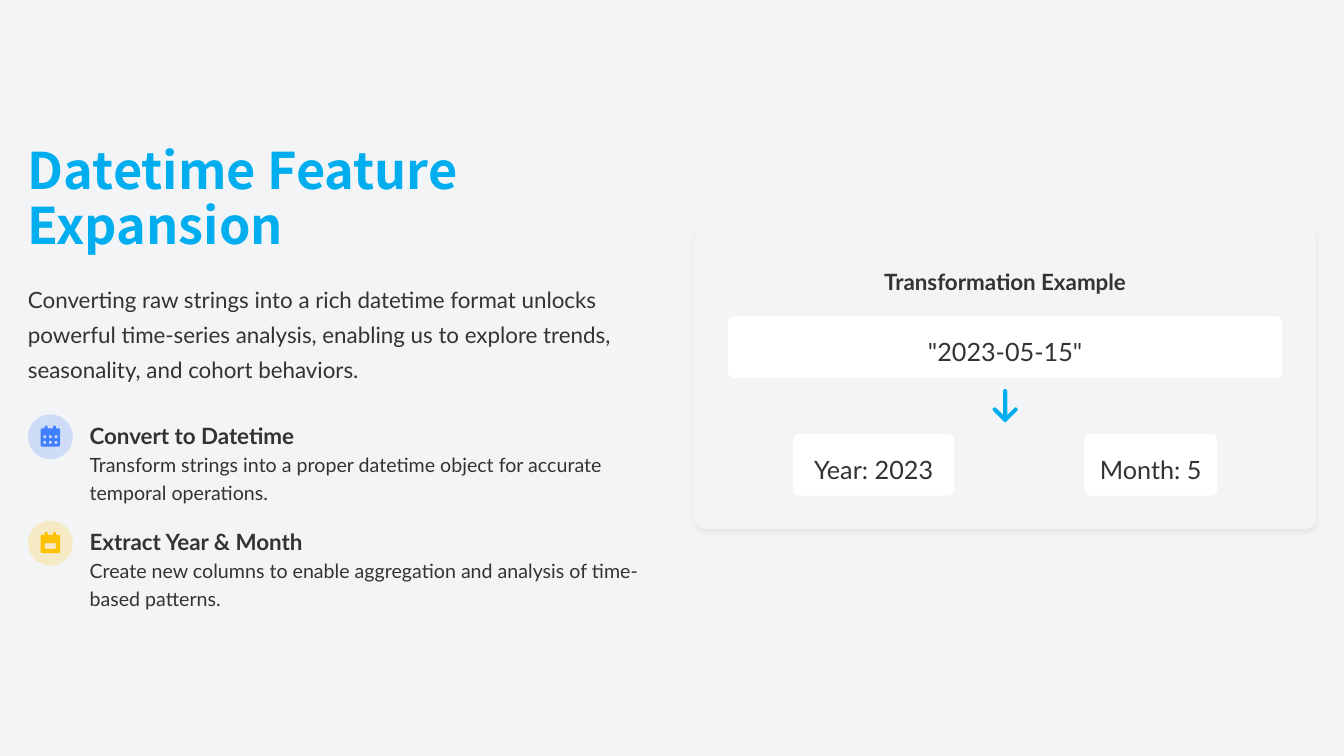
"""Build the Datetime Feature Expansion slide."""
import math

from lxml import etree
from pptx import Presentation
from pptx import util as u
from pptx.dml.color import RGBColor
from pptx.enum import shapes, text
from pptx.oxml.ns import qn

PX = 6350
COLORS = {"ground": "F3F4F6", "title": "00AEEF", "ink": "333333", "white": "FFFFFF",
          "blue": "4080FF", "yellow": "FFC200"}


def write(holder, content, size=16, color="ink", font="Lato", bold=False, spacing=1.3,
          align=text.PP_ALIGN.LEFT, wrap=True):
    frame = holder.text_frame
    frame.word_wrap = wrap
    frame.vertical_anchor = text.MSO_ANCHOR.MIDDLE
    frame.margin_left = frame.margin_right = frame.margin_top = frame.margin_bottom = 0
    paragraph = frame.paragraphs[0]
    paragraph.alignment = align
    paragraph.line_spacing = spacing
    run = paragraph.add_run()
    run.text = content
    run.font.size = u.Pt(size)
    run.font.name = font
    run.font.bold = bold
    run.font.color.rgb = RGBColor.from_string(COLORS[color])


def paint(shape, color):
    shape.shadow.inherit = False
    shape.fill.solid()
    shape.fill.fore_color.rgb = RGBColor.from_string(COLORS[color])
    shape.line.fill.background()
    return shape


deck = Presentation()
deck.slide_width, deck.slide_height = 1920 * PX, 1080 * PX
slide = deck.slides.add_slide(deck.slide_layouts[6])
slide.background.fill.solid()
slide.background.fill.fore_color.rgb = RGBColor.from_string(COLORS["ground"])
center = text.PP_ALIGN.CENTER

card_shape = slide.shapes.add_shape(shapes.MSO_SHAPE.ROUNDED_RECTANGLE,
                                    992 * PX, 324 * PX, 888 * PX, 432 * PX)
card_shape.adjustments[0] = 16 / 432
paint(card_shape, "ground")
effects = card_shape._element.spPr.find(qn("a:effectLst"))
glow = etree.SubElement(effects, qn("a:outerShdw"), blurRad=str(u.Pt(4)), dist=str(u.Pt(2)),
                        dir="5400000", algn="ctr", rotWithShape="0")
shade = etree.SubElement(glow, qn("a:srgbClr"), val="000000")
etree.SubElement(shade, qn("a:alpha"), val="5000")

for value, left, top, width in [('"2023-05-15"', 1040, 452, 792),
                                ("Year: 2023", 1133, 620, 230),
                                ("Month: 5", 1549, 620, 190)]:
    value_box = slide.shapes.add_shape(shapes.MSO_SHAPE.ROUNDED_RECTANGLE,
                                       left * PX, top * PX, width * PX, 88 * PX)
    value_box.adjustments[0] = 8 / 88
    paint(value_box, "white")
    write(value_box, value, size=18, align=center, wrap=False)

calendar = [(0, 4, 3), (6, 4, 0), (6, 0, 2), (10, 0, 2), (10, 4, 0), (18, 4, 0), (18, 0, 2),
            (22, 0, 2), (22, 4, 0), (28, 4, 3), (28, 30, 3), (0, 30, 3)]
day_holes = [(x, y, 4, 4, 1) for y in (14, 22) for x in (4, 12, 20)]
month_hole = [(6, 16, 16, 8, 2)]
arrow = [(15, 0, 3), (21, 0, 3), (21, 37, 0), (33, 25, 3), (37, 29, 3), (18, 48, 2),
         (-1, 29, 3), (3, 25, 3), (15, 37, 0)]
glyphs = [(1418, 556, "title", arrow, [])]

labels = [
    ("Datetime Feature Expansion", 40, 207, 924, 160,
     dict(size=36, color="title", font="Noto Sans CJK SC", bold=True, spacing=0.9)),
    ("Converting raw strings into a rich datetime format unlocks powerful time-series "
     "analysis, enabling us to explore trends, seasonality, and cohort behaviors.",
     40, 400, 904, 144, {}),
    ("Transformation Example", 1032, 372, 808, 48, dict(bold=True, align=center)),
]

steps = [
    ("Convert to Datetime", "Transform strings into a proper datetime object for accurate "
     "temporal operations.", "blue", day_holes),
    ("Extract Year & Month", "Create new columns to enable aggregation and analysis of "
     "time-based patterns.", "yellow", month_hole),
]
for index, (heading, detail, color, holes) in enumerate(steps):
    top = 592 + 152 * index
    badge = slide.shapes.add_shape(shapes.MSO_SHAPE.OVAL, 40 * PX, top * PX, 64 * PX, 64 * PX)
    paint(badge, color)
    tint = badge._element.spPr.find(".//" + qn("a:srgbClr"))
    etree.SubElement(tint, qn("a:alpha"), val="20000")
    glyphs.append((58, top + 16, color, calendar, holes))
    labels += [(heading, 128, top, 816, 48, dict(bold=True)),
               (detail, 128, top + 48, 814, 80, dict(size=14, spacing=1.2))]

for content, left, top, width, height, style in labels:
    write(slide.shapes.add_textbox(left * PX, top * PX, width * PX, height * PX),
          content, **style)

for left, top, color, outline, holes in glyphs:
    contours = [outline] + [[(x, y, r), (x, y + h, r), (x + w, y + h, r), (x + w, y, r)]
                            for x, y, w, h, r in holes]
    builder = None
    for contour in contours:
        curve = []
        for i, (x, y, radius) in enumerate(contour):
            before, after = contour[i - 1][:2], contour[(i + 1) % len(contour)][:2]
            back = radius / math.dist((x, y), before)
            ahead = radius / math.dist((x, y), after)
            for t in (0, 0.25, 0.5, 0.75, 1) if radius else (0,):
                pull, push = back * (1 - t) ** 2, ahead * t ** 2
                curve.append((round((left + x + pull * (before[0] - x) + push * (after[0] - x)) * PX),
                              round((top + y + pull * (before[1] - y) + push * (after[1] - y)) * PX)))
        if builder is None:
            builder = slide.shapes.build_freeform(*curve[0])
        else:
            builder.move_to(*curve[0])
        builder.add_line_segments(curve[1:], close=True)
    paint(builder.convert_to_shape(), color)

deck.save("out.pptx")
